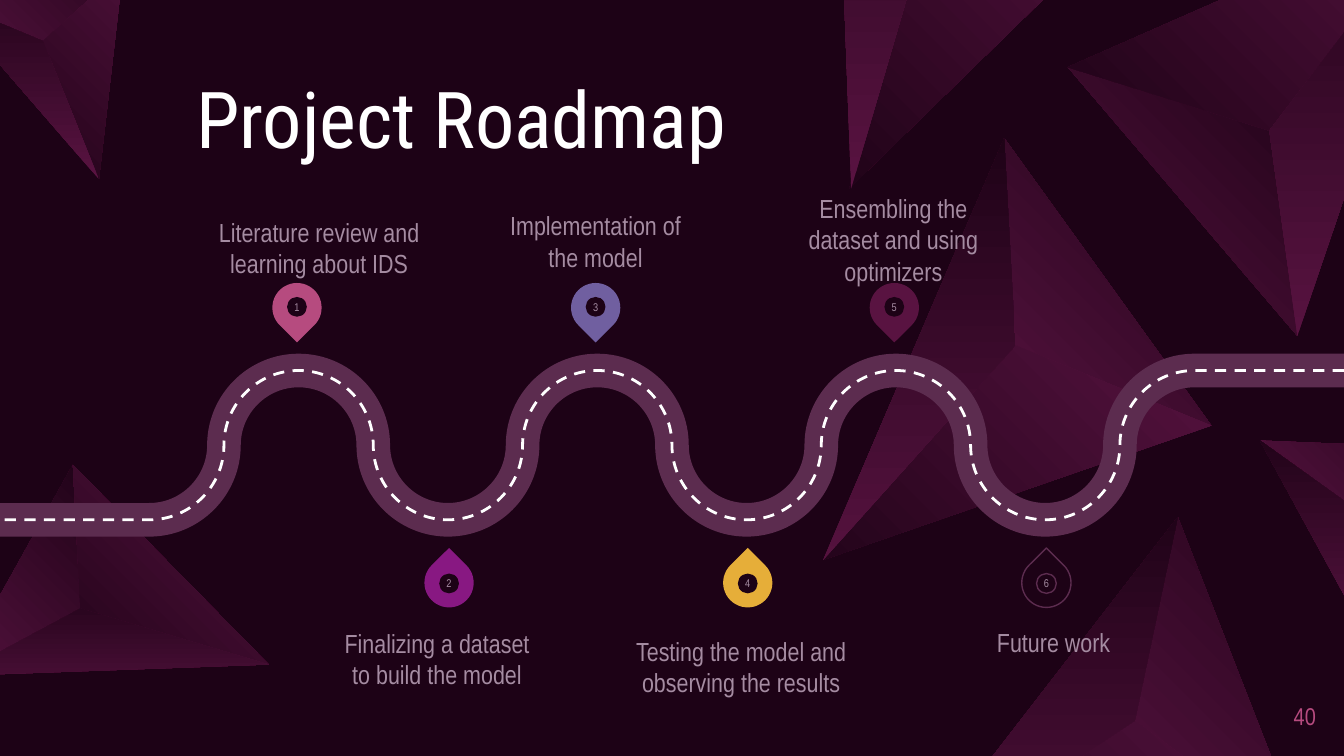
import math

from lxml import etree
from pptx import Presentation
from pptx.dml.color import RGBColor
from pptx.enum import dml, shapes, text
from pptx.oxml import ns
from pptx.util import Pt

COLORS = {
    "night": "1D0216", "plum": "591341", "road": "5C2C4F", "white": "FFFFFF",
    "mauve": "A58CA2", "pink": "B64B7F", "violet": "881882",
    "blue": "705FA0", "gold": "E6AE39",
}
BODY_FONT = "Arial Narrow"
TITLE_FONT = "Roboto Condensed"

FACET_ANGLES = (315, 135, 270)
PYRAMIDS = [
    (100.5, [[(695, 180), (572, 36), (680, 70)],
             [(572, 36), (774, -53), (680, 70)],
             [(695, 180), (680, 70), (774, -53)]]),
    (169.6, [[(-24, 362), (39, 249), (43, 326)],
             [(39, 249), (144, 356), (43, 326)],
             [(-24, 362), (43, 326), (144, 356)]]),
    (285.1, [[(538, 74), (649, 228), (544, 185)],
             [(649, 228), (441, 300), (544, 185)],
             [(538, 74), (544, 185), (441, 300)]]),
    (299.6, [[(631, 277), (700, 454), (608, 386)],
             [(700, 454), (480, 472), (608, 386)],
             [(631, 277), (608, 386), (480, 472)]]),
    (233.2, [[(675, 236), (773, 240), (721, 269)],
             [(773, 240), (736, 348), (721, 269)],
             [(675, 236), (721, 269), (736, 348)]]),
    (259.7, [None,
             [(613, -53), (455, 101), (499, -47)],
             [(447, -144), (499, -46), (456, 101)]]),
    (220.8, [[(-30, 0), (66, -17), (23, 22)],
             [(66, -17), (53, 96), (23, 22)],
             [(-30, 0), (23, 22), (53, 96)]]),
]

PIN_COLORS = ["pink", "violet", "blue", "gold", "plum", "night"]
LABELS = [
    ("Literature review and learning about IDS", (108.7, 107.7, 124.6, 41.8), "b"),
    ("Finalizing a dataset to build the model", (183.4, 336, 101.5, 41.8), "t"),
    ("Implementation of the model", (268.3, 112.3, 101.5, 41.8), "t"),
    ("Testing the model and observing the results", (334.8, 332.1, 124.6, 41.8), "b"),
    ("Ensembling the dataset and using optimizers", (427.9, 103, 101.5, 41.8), "t"),
]
ANCHORS = {
    "t": text.MSO_ANCHOR.TOP, "m": text.MSO_ANCHOR.MIDDLE, "b": text.MSO_ANCHOR.BOTTOM,
}


def rgb(name):
    return RGBColor.from_string(COLORS[name])


def write(shape, words, size, color, font=BODY_FONT, align=text.PP_ALIGN.CENTER,
          anchor="m", inset=0):
    frame = shape.text_frame
    frame.text = words
    frame.word_wrap = True
    frame.vertical_anchor = ANCHORS[anchor]
    frame.margin_left = frame.margin_right = Pt(inset)
    frame.margin_top = frame.margin_bottom = Pt(inset)
    para = frame.paragraphs[0]
    para.alignment = align
    for span in para.runs:
        span.font.size = Pt(size)
        span.font.name = font
        span.font.color.rgb = rgb(color)
    return para


def add_label(page, words, frame, size=14, color="mauve", **style):
    box = page.shapes.add_textbox(*map(Pt, frame))
    write(box, words, size, color, **style)


def add_outline(page, points, close):
    points = [(Pt(x), Pt(y)) for x, y in points]
    builder = page.shapes.build_freeform(*points[0])
    builder.add_line_segments(points[1:], close=close)
    outline = builder.convert_to_shape()
    outline.shadow.inherit = False
    return outline


def turn(point, degrees):
    x, y = point
    cos, sin = math.cos(math.radians(degrees)), math.sin(math.radians(degrees))
    return x * cos - y * sin, x * sin + y * cos


def add_facet(page, corners, rotation, angle):
    flat = [turn(corner, -rotation) for corner in corners]
    middle = [(min(axis) + max(axis)) / 2 for axis in zip(*flat)]
    center = turn(middle, rotation)
    dx, dy = center[0] - middle[0], center[1] - middle[1]
    facet = add_outline(page, [(x + dx, y + dy) for x, y in flat], True)
    facet.rotation = rotation
    facet.line.fill.background()
    facet.fill.gradient()
    facet.fill.gradient_angle = 360 - angle
    for stop, name, position in zip(facet.fill.gradient_stops, ("plum", "night"), (0, 1)):
        stop.color.rgb = rgb(name)
        stop.position = position
    facet.element.spPr.find(ns.qn("a:gradFill")).set("rotWithShape", "0")


def road_points():
    radius, middle, pull = 40, 238.5, 0.55
    points = [(720, middle - radius), (640, middle - radius)]
    for quarter in range(1, 15):
        bend, falling = divmod(quarter, 2)
        x = 640 - 80 * bend
        side = radius if bend % 2 else -radius
        if falling:
            arc = [(-pull, 1), (-1, pull), (-1, 0)]
        else:
            arc = [(1, pull), (pull, 1), (0, 1)]
        points += [(x + radius * u, middle + side * v) for u, v in arc]
    return points + [(0, middle + radius)]


def bend_road(road):
    segments = list(road.element.iter(ns.qn("a:lnTo")))[1:-1]
    for start in range(0, len(segments), 3):
        trio = segments[start:start + 3]
        curve = etree.Element(ns.qn("a:cubicBezTo"))
        trio[0].addprevious(curve)
        for segment in trio:
            curve.append(segment[0])
            segment.getparent().remove(segment)


def add_road(page, color, width, dash=None):
    road = add_outline(page, road_points(), False)
    bend_road(road)
    road.fill.background()
    road.line.color.rgb = rgb(color)
    road.line.width = Pt(width)
    road.line.dash_style = dash


def add_disc(page, kind, center, size, color, outlined):
    x, y = center
    disc = page.shapes.add_shape(
        kind, Pt(x - size / 2), Pt(y - size / 2), Pt(size), Pt(size))
    disc.shadow.inherit = False
    disc.fill.solid()
    disc.fill.fore_color.rgb = rgb(color)
    if outlined:
        disc.line.color.rgb = rgb("road")
        disc.line.width = Pt(0.75)
    else:
        disc.line.fill.background()
    return disc


def add_pin(page, number, color):
    above = number % 2 == 1
    x = 80 * (number + 1) + (-0.9 if above else 0.6)
    y = 164.8 if above else 312.2
    outlined = color == "night"
    drop = add_disc(page, shapes.MSO_SHAPE.TEAR, (x, y), 26.4, color, outlined)
    drop.rotation = 135 if above else 315
    dot_y = 164.4 if above else 312.6
    dot = add_disc(page, shapes.MSO_SHAPE.OVAL, (x, dot_y), 10.6, "night", outlined)
    write(dot, str(number), 6, "mauve")


def add_title(page, words):
    title = page.shapes.title
    title.left, title.top, title.width, title.height = map(Pt, (105.1, 41.8, 509.8, 46.8))
    para = write(title, words, 42, "white", TITLE_FONT, text.PP_ALIGN.LEFT, "b")
    para.line_spacing = 0.9
    title.text_frame.auto_size = text.MSO_AUTO_SIZE.NONE


def main():
    deck = Presentation()
    deck.slide_width, deck.slide_height = Pt(720), Pt(405)
    page = deck.slides.add_slide(deck.slide_layouts[5])
    page.background.fill.solid()
    page.background.fill.fore_color.rgb = rgb("night")
    for rotation, facets in PYRAMIDS:
        for corners, angle in zip(facets, FACET_ANGLES):
            if corners:
                add_facet(page, corners, rotation, angle)
    add_title(page, "Project Roadmap")
    add_label(page, "40", (673.2, 367.9, 31.7, 31), 13, "pink", align=text.PP_ALIGN.RIGHT)
    add_road(page, "road", 18)
    add_road(page, "white", 1.5, dml.MSO_LINE.DASH)
    for number, color in enumerate(PIN_COLORS, 1):
        add_pin(page, number, color)
    for words, frame, anchor in LABELS:
        add_label(page, words, frame, anchor=anchor)
    add_label(page, "Future work", (527, 328.3, 87.8, 31.7),
              align=text.PP_ALIGN.LEFT, anchor="t", inset=7.2)
    deck.save("out.pptx")


if __name__ == "__main__":
    main()
